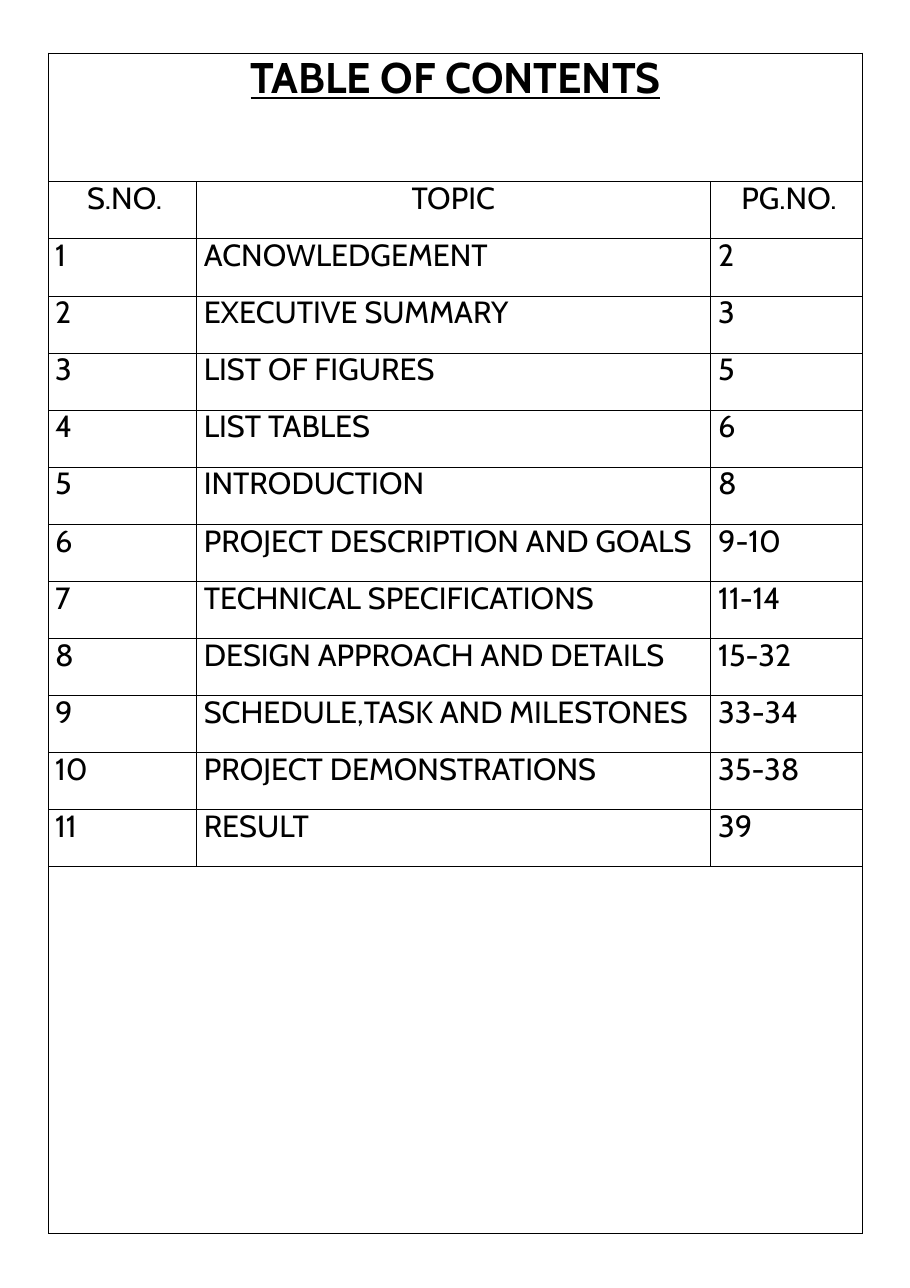
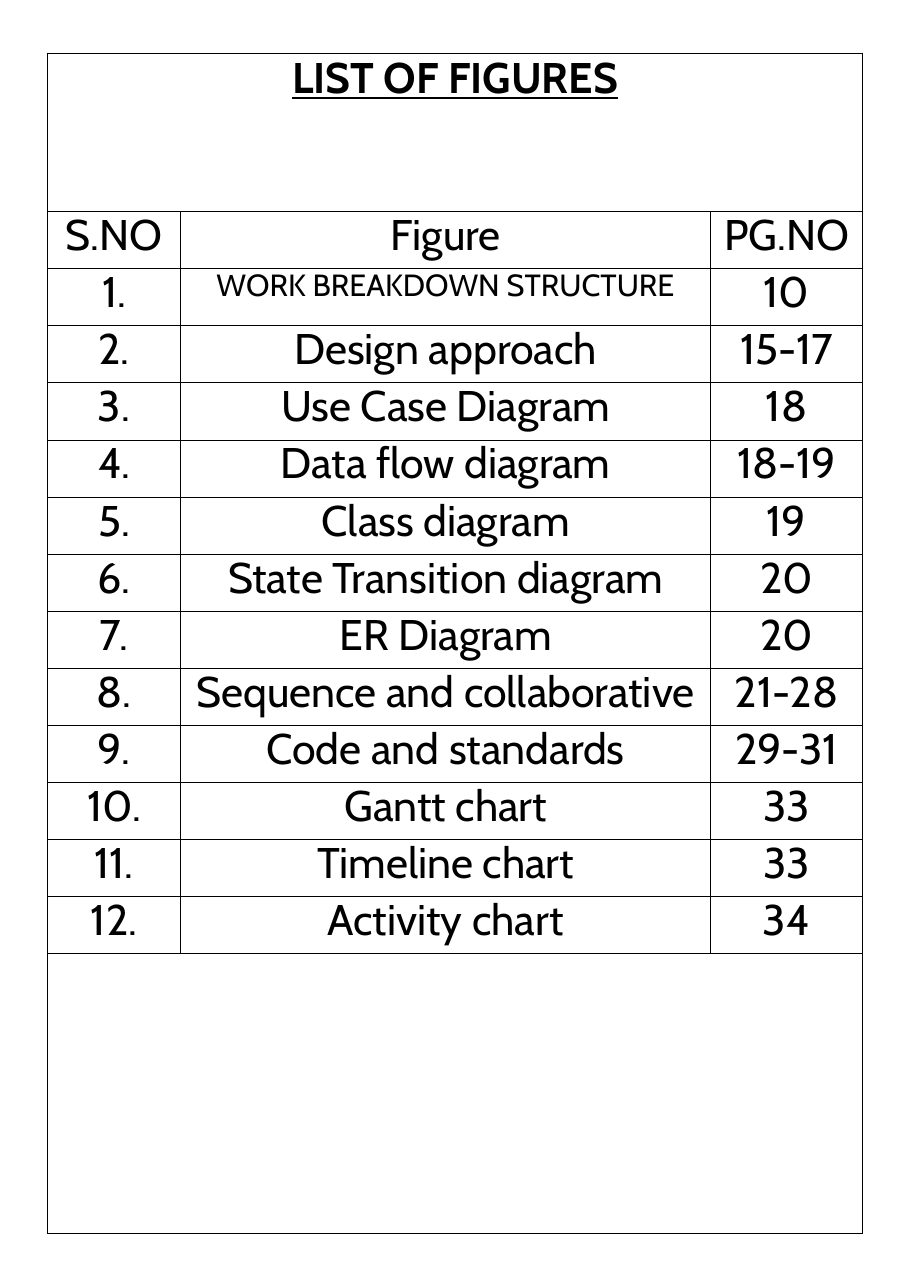
"""Build two index pages: a table of contents and a list of figures."""
from dataclasses import dataclass

from lxml import etree
from pptx import Presentation
from pptx.dml.color import RGBColor
from pptx.enum.text import PP_ALIGN
from pptx.oxml import ns
from pptx.util import Inches, Pt


@dataclass(frozen=True)
class Theme:
    font: str = "Cabin"
    ink: str = "000000"
    line: float = 0.5
    large: int = 28
    small: int = 20


THEME = Theme()
LEAD = {THEME.large: 32.5, THEME.small: 23.2}
TITLE_LEAD = 33.5
PAGE = 8.26, 11.69
TOP, HIGH = 0.48, 10.72

TOPICS = [
    ("ACNOWLEDGEMENT", "2"),
    ("EXECUTIVE SUMMARY", "3"),
    ("LIST OF FIGURES", "5"),
    ("LIST TABLES", "6"),
    ("INTRODUCTION", "8"),
    ("PROJECT DESCRIPTION AND GOALS", "9-10"),
    ("TECHNICAL SPECIFICATIONS", "11-14"),
    ("DESIGN APPROACH AND DETAILS", "15-32"),
    ("SCHEDULE,TASK AND MILESTONES", "33-34"),
    ("PROJECT DEMONSTRATIONS", "35-38"),
    ("RESULT", "39"),
]
FIGURES = [
    ("WORK BREAKDOWN STRUCTURE", "10"),
    ("Design approach", "15-17"),
    ("Use Case Diagram", "18"),
    ("Data flow diagram", "18-19"),
    ("Class diagram", "19"),
    ("State Transition diagram", "20"),
    ("ER Diagram", "20"),
    ("Sequence and collaborative", "21-28"),
    ("Code and standards", "29-31"),
    ("Gantt chart", "33"),
    ("Timeline chart", "33"),
    ("Activity chart", "34"),
]

# An indent of None centres the text of its column.
PAGES = [
    dict(title="TABLE OF CONTENTS", heads=("S.NO.", "TOPIC", "PG.NO."),
         items=TOPICS, mark="{}", left=0.44, cols=(1.34, 4.67, 1.38),
         band=1.17, body=6.22, size=THEME.small, odd={},
         head_pad=(0.35, None, 0.28), pad=(0.06, 0.07, 0.07)),
    dict(title="LIST OF FIGURES", heads=("S.NO", "Figure", "PG.NO"),
         items=FIGURES, mark="{}.", left=0.43, cols=(1.21, 4.81, 1.38),
         band=1.44, body=6.74, size=THEME.large,
         odd={"WORK BREAKDOWN STRUCTURE": THEME.small},
         head_pad=(None,) * 3, pad=(None,) * 3),
]


def frame(cell):
    """Clear the fill and margins of a cell and rule its four sides."""
    props = cell._tc.get_or_add_tcPr()
    for side in "LRTB":
        line = etree.SubElement(props, ns.qn(f"a:ln{side}"), w=str(Pt(THEME.line)))
        fill = etree.SubElement(line, ns.qn("a:solidFill"))
        etree.SubElement(fill, ns.qn("a:srgbClr"), val=THEME.ink)
    cell.fill.background()
    cell.margin_left = cell.margin_right = 0
    cell.margin_top = cell.margin_bottom = 0


def write(cell, words, size, lead, pad=None, title=False):
    """Put one line of text in a cell, centred unless it has an indent."""
    para = cell.text_frame.paragraphs[0]
    para.text = words
    para.line_spacing = Pt(lead)
    para.alignment = PP_ALIGN.CENTER if pad is None else PP_ALIGN.LEFT
    cell.margin_left = Inches(pad or 0)
    font = para.font
    font.name, font.size = THEME.font, Pt(size)
    font.bold = font.underline = title
    font.color.rgb = RGBColor.from_string(THEME.ink)


def build(deck, page):
    """Add a slide with one ruled table."""
    rows = [page["heads"]]
    rows += [(page["mark"].format(num), *item)
             for num, item in enumerate(page["items"], 1)]
    foot = HIGH - page["band"] - page["body"]
    highs = [page["band"], *[page["body"] / len(rows)] * len(rows), foot]

    slide = deck.slides.add_slide(deck.slide_layouts[6])
    table = slide.shapes.add_table(
        len(highs), len(page["cols"]), Inches(page["left"]), Inches(TOP),
        Inches(sum(page["cols"])), Inches(HIGH)).table
    table.first_row = table.horz_banding = False
    for col, wide in zip(table.columns, page["cols"]):
        col.width = Inches(wide)
    for row, high in zip(table.rows, highs):
        row.height = Inches(high)
    for cell in table.iter_cells():
        frame(cell)

    last = len(page["cols"]) - 1
    for row in (0, len(highs) - 1):
        table.cell(row, 0).merge(table.cell(row, last))
    write(table.cell(0, 0), page["title"], THEME.large, TITLE_LEAD, title=True)
    for row, texts in enumerate(rows, 1):
        pads = page["head_pad"] if row == 1 else page["pad"]
        for col, (words, pad) in enumerate(zip(texts, pads)):
            size = page["odd"].get(words, page["size"])
            write(table.cell(row, col), words, size, LEAD[size], pad)


def main():
    """Build and save the deck."""
    deck = Presentation()
    deck.slide_width, deck.slide_height = map(Inches, PAGE)
    for page in PAGES:
        build(deck, page)
    deck.save("out.pptx")


if __name__ == "__main__":
    main()
